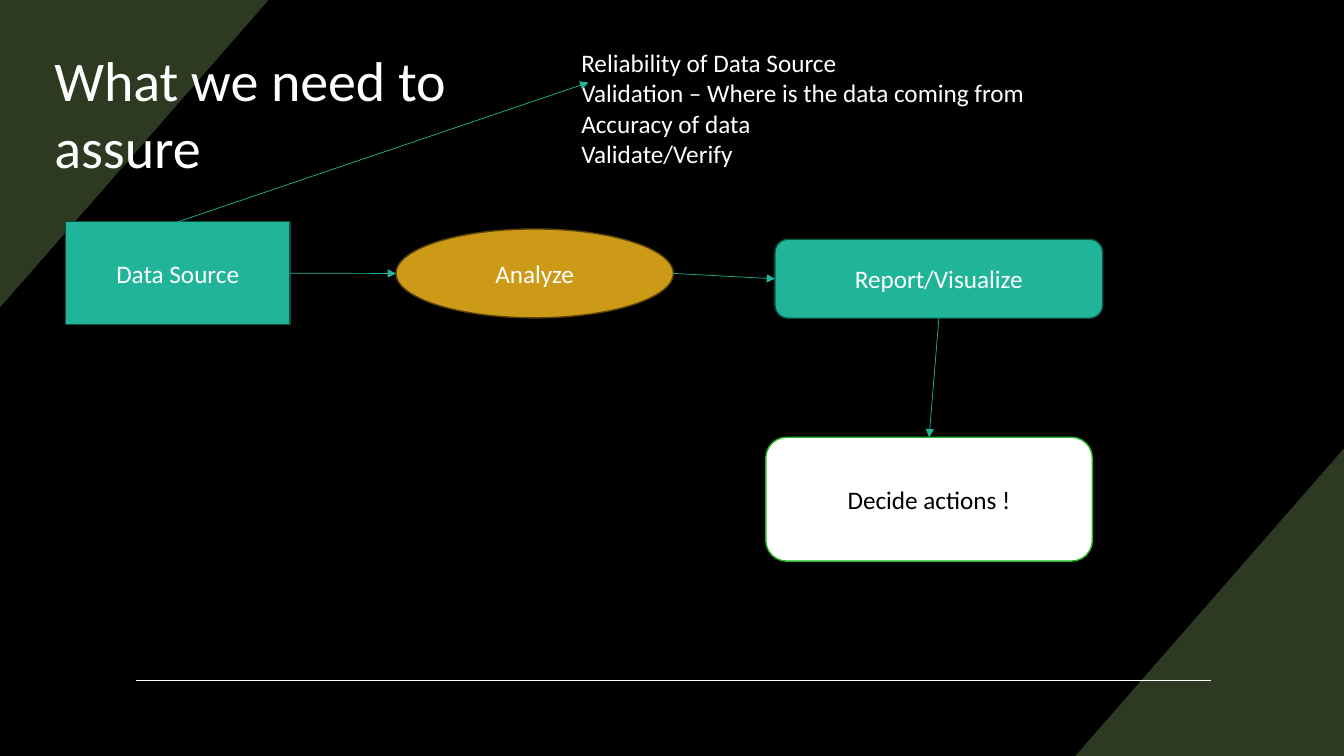
"""Build the slide on what to assure from data source to actions."""
from dataclasses import dataclass
from typing import Optional

import lxml.etree
import pptx
import pptx.dml.color
import pptx.enum.shapes
import pptx.enum.text
import pptx.oxml.ns
import pptx.util

Cm = pptx.util.Cm
Kind = pptx.enum.shapes.MSO_SHAPE
Align = pptx.enum.text.PP_ALIGN
Anchor = pptx.enum.text.MSO_ANCHOR
Place = tuple[float, float]
Area = tuple[float, float, float, float]


@dataclass(frozen=True)
class Theme:
    """Hold the colours, font and type sizes."""
    back: str = "000000"
    text: str = "FFFFFF"
    dark: str = "000000"
    wedge: str = "2D3920"
    teal: str = "20B599"
    pine: str = "0E4F43"
    gold: str = "CC9A16"
    brown: str = "59430A"
    green: str = "24B921"
    font: str = "Calibri"
    head: int = 40
    body: int = 18


@dataclass(frozen=True)
class Step:
    """Describe one box of the flow."""
    label: str
    kind: int
    area: Area
    fill: str
    edge: str
    ink: str


@dataclass(frozen=True)
class Arrow:
    """Describe an arrow and the boxes and sides it joins."""
    start: Place
    end: Place
    tail: Optional[tuple[str, int]] = None
    tip: Optional[tuple[str, int]] = None


THEME = Theme()
WIDE, HIGH = 33.87, 19.05
RUN, RISE = 6.77, 7.75

WEDGES = (
    ((0, 0), (RUN, 0), (0, RISE)),
    ((WIDE, HIGH), (WIDE - RUN, HIGH), (WIDE, HIGH - RISE)),
)
SOURCE, STUDY = "Data Source", "Analyze"
REPORT, DECIDE = "Report/Visualize", "Decide actions !"
STEPS = (
    Step(SOURCE, Kind.RECTANGLE, (1.65, 5.59, 5.66, 2.59),
         THEME.teal, THEME.pine, THEME.text),
    Step(STUDY, Kind.OVAL, (9.98, 5.77, 6.99, 2.24),
         THEME.gold, THEME.brown, THEME.text),
    Step(REPORT, Kind.ROUNDED_RECTANGLE, (19.53, 6.03, 8.26, 1.99),
         THEME.teal, THEME.pine, THEME.text),
    Step(DECIDE, Kind.ROUNDED_RECTANGLE, (19.3, 11.02, 8.23, 3.12),
         THEME.text, THEME.green, THEME.dark),
)
ARROWS = (
    Arrow((7.31, 6.89), (9.98, 6.89), tail=(SOURCE, 3)),
    Arrow((16.97, 6.89), (19.53, 7.03), tip=(REPORT, 1)),
    Arrow((23.66, 8.02), (23.42, 11.02), (REPORT, 2), (DECIDE, 0)),
    Arrow((4.48, 5.59), (14.83, 2.08), tail=(SOURCE, 0)),
)
NOTES = "\n".join((
    "Reliability of Data Source",
    "Validation – Where is the data coming from",
    "Accuracy of data",
    "Validate/Verify",
))


def tint(code: str) -> pptx.dml.color.RGBColor:
    """Turn a hex code into a colour."""
    return pptx.dml.color.RGBColor.from_string(code)


def write(frame, text: str, size: int, ink: str, align: int, anchor: int) -> None:
    """Put styled text in a frame."""
    frame.word_wrap = True
    frame.vertical_anchor = anchor
    frame.text = text
    for para in frame.paragraphs:
        para.alignment = align
        for run in para.runs:
            run.font.name = THEME.font
            run.font.size = pptx.util.Pt(size)
            run.font.color.rgb = tint(ink)


def add_text(slide, text: str, area: Area, size: int, anchor: int) -> None:
    """Add a left-aligned text box."""
    box = slide.shapes.add_textbox(*map(Cm, area))
    write(box.text_frame, text, size, THEME.text, Align.LEFT, anchor)


def add_wedge(slide, points: tuple[Place, ...]) -> None:
    """Add a corner triangle."""
    first, *rest = [(Cm(x), Cm(y)) for x, y in points]
    form = slide.shapes.build_freeform(*first)
    form.add_line_segments(rest, close=True)
    shape = form.convert_to_shape()
    shape.shadow.inherit = False
    shape.fill.solid()
    shape.fill.fore_color.rgb = tint(THEME.wedge)
    shape.line.fill.background()


def add_step(slide, step: Step):
    """Add one box of the flow."""
    shape = slide.shapes.add_shape(step.kind, *map(Cm, step.area))
    shape.shadow.inherit = False
    shape.fill.solid()
    shape.fill.fore_color.rgb = tint(step.fill)
    shape.line.color.rgb = tint(step.edge)
    shape.line.width = pptx.util.Pt(1)
    write(shape.text_frame, step.label, THEME.body, step.ink,
          Align.CENTER, Anchor.MIDDLE)
    return shape


def add_line(slide, start: Place, end: Place, ink: str, width: float):
    """Add a straight line without a shadow."""
    line = slide.shapes.add_connector(
        pptx.enum.shapes.MSO_CONNECTOR.STRAIGHT, *map(Cm, start + end))
    line.line.color.rgb = tint(ink)
    line.line.width = pptx.util.Pt(width)
    lxml.etree.SubElement(line._element.spPr, pptx.oxml.ns.qn("a:effectLst"))
    return line


def add_arrow(slide, arrow: Arrow, boxes: dict) -> None:
    """Add an arrow and join it to its boxes."""
    line = add_line(slide, arrow.start, arrow.end, THEME.teal, 0.5)
    if arrow.tail:
        name, side = arrow.tail
        line.begin_connect(boxes[name], side)
    if arrow.tip:
        name, side = arrow.tip
        line.end_connect(boxes[name], side)
    lxml.etree.SubElement(line.line._get_or_add_ln(),
                          pptx.oxml.ns.qn("a:tailEnd"), type="triangle")


def main() -> None:
    """Build and save the slide."""
    deck = pptx.Presentation()
    deck.slide_width, deck.slide_height = Cm(WIDE), Cm(HIGH)
    slide = deck.slides.add_slide(deck.slide_layouts[6])
    slide.background.fill.solid()
    slide.background.fill.fore_color.rgb = tint(THEME.back)
    for points in WEDGES:
        add_wedge(slide, points)
    add_line(slide, (3.43, 17.15), (30.53, 17.15), THEME.text, 1)
    add_text(slide, "What we need to assure", (1.12, 0.94, 10.64, 3.78),
             THEME.head, Anchor.MIDDLE)
    boxes = {step.label: add_step(slide, step) for step in STEPS}
    add_text(slide, NOTES, (14.4, 1.07, 13.26, 3.33), THEME.body, Anchor.TOP)
    for arrow in ARROWS:
        add_arrow(slide, arrow, boxes)
    deck.save("out.pptx")


if __name__ == "__main__":
    main()
